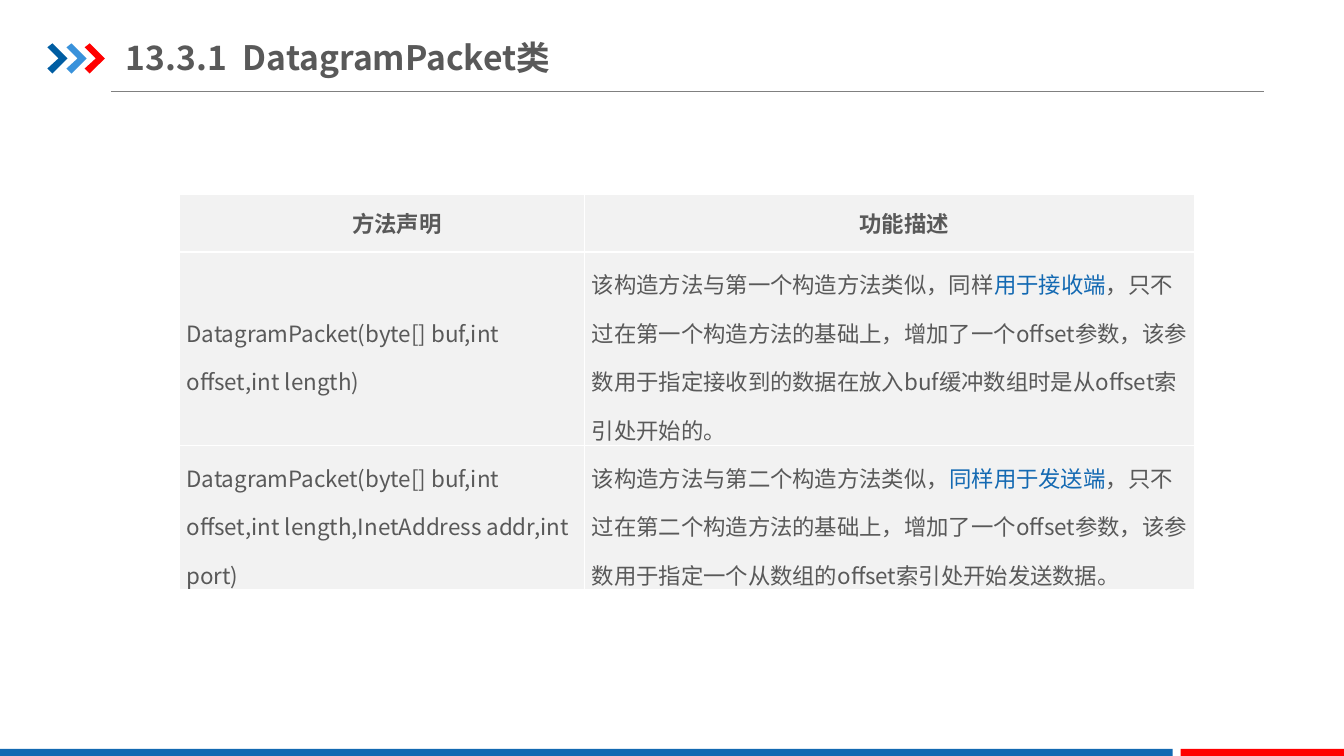
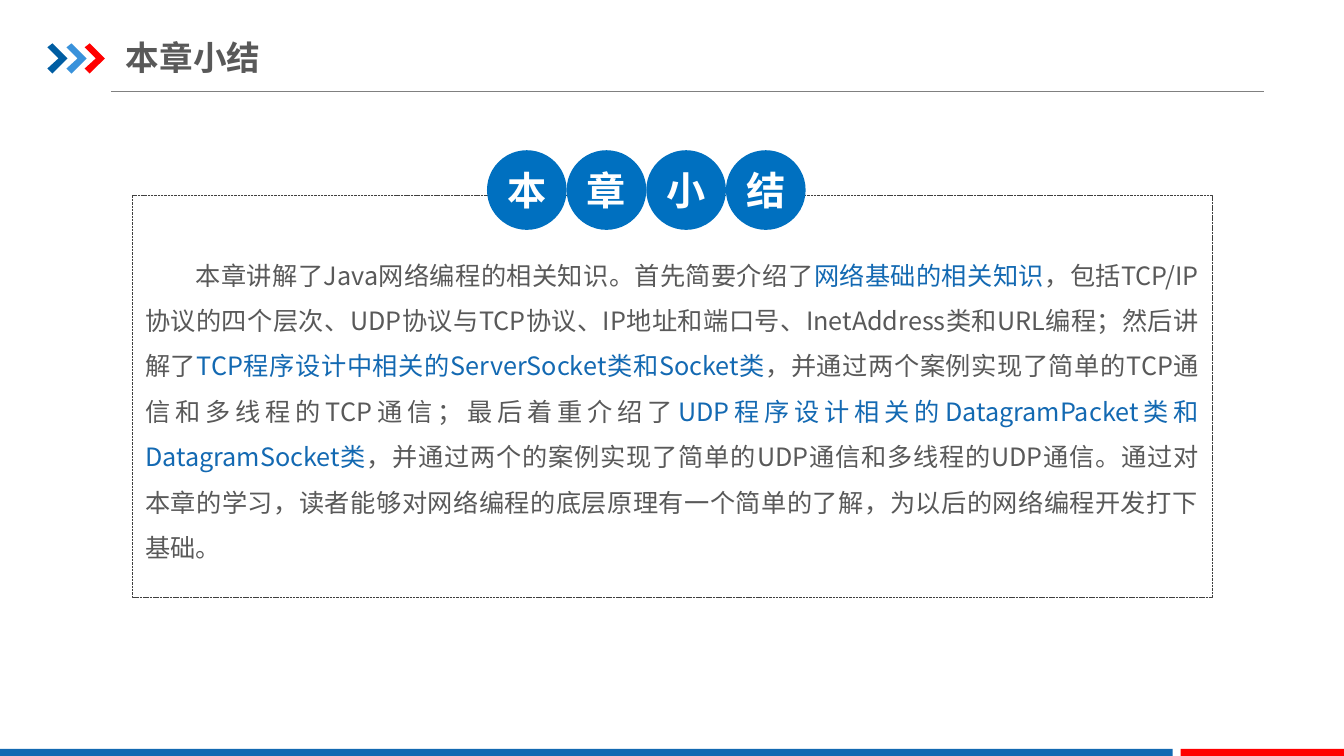
from dataclasses import dataclass

from lxml.etree import SubElement
from pptx import Presentation
from pptx.dml.color import RGBColor
from pptx.enum.dml import MSO_LINE
from pptx.enum.shapes import MSO_CONNECTOR, MSO_SHAPE
from pptx.enum.text import MSO_ANCHOR, MSO_AUTO_SIZE, PP_ALIGN
from pptx.oxml.ns import qn
from pptx.oxml.xmlchemy import OxmlElement
from pptx.util import Inches, Pt

FONT = "Noto Sans CJK SC"
GREY, BLUE, RED, WHITE = "595959", "1369B2", "FF0000", "FFFFFF"
CIRCLE_BLUE, CELL_GREY = "0070C0", "F2F2F2"
CHEVRON_OUTLINE = [(0, 0.04), (0.05, 0), (0.2, 0.15), (0.05, 0.3), (0, 0.25), (0.11, 0.15)]


@dataclass(frozen=True)
class Span:
    text: str
    color: str = GREY


@dataclass(frozen=True)
class TextStyle:
    size: float
    bold: bool = False
    align: PP_ALIGN = PP_ALIGN.LEFT
    spacing: float = 1.0
    indent: float = 0
    tab: float = 0


@dataclass(frozen=True)
class Band:
    left: float
    width: float
    color: str


@dataclass(frozen=True)
class Chevron:
    left: float
    color: str


@dataclass(frozen=True)
class Method:
    declaration: str
    description: list[Span]


TITLE = TextStyle(24, bold=True, tab=1.16)
HEADER = TextStyle(16, bold=True, align=PP_ALIGN.CENTER, indent=0.29)
CELL = TextStyle(16, spacing=1.5)
SUMMARY = TextStyle(18, align=PP_ALIGN.JUSTIFY, spacing=1.5, indent=0.5)
CIRCLE = TextStyle(28, bold=True, align=PP_ALIGN.CENTER)

CHEVRONS = [Chevron(0.47, "005DA2"), Chevron(0.66, "3992DB"), Chevron(0.84, RED)]
BANDS = [Band(0, 11.63, BLUE), Band(11.71, 1.63, RED)]

METHODS = [
    Method("DatagramPacket(byte[] buf,int offset,int length)", [
        Span("该构造方法与第一个构造方法类似，同样"),
        Span("用于接收端", BLUE),
        Span("，只不过在第一个构造方法的基础上，增加了一个offset参数，该参数用于指定接收到的数据在放入buf缓冲数组时是从offset索引处开始的。"),
    ]),
    Method("DatagramPacket(byte[] buf,int offset,int length,InetAddress addr,int port)", [
        Span("该构造方法与第二个构造方法类似，"),
        Span("同样用于发送端", BLUE),
        Span("，只不过在第二个构造方法的基础上，增加了一个offset参数，该参数用于指定一个从数组的offset索引处开始发送数据。"),
    ]),
]

CHAPTER_SUMMARY = [
    Span("本章讲解了Java网络编程的相关知识。首先简要介绍了"),
    Span("网络基础的相关知识", BLUE),
    Span("，包括TCP/IP协议的四个层次、UDP协议与TCP协议、IP地址和端口号、InetAddress类和URL编程；然后讲解了"),
    Span("TCP程序设计中相关的ServerSocket类和Socket类", BLUE),
    Span("，并通过两个案例实现了简单的TCP通信和多线程的TCP通信；最后着重介绍了"),
    Span("UDP程序设计相关的DatagramPacket类和DatagramSocket类", BLUE),
    Span("，并通过两个的案例实现了简单的UDP通信和多线程的UDP通信。通过对本章的学习，读者能够对网络编程的底层原理有一个简单的了解，为以后的网络编程开发打下基础。"),
]


def rgb(color: str) -> RGBColor:
    return RGBColor.from_string(color)


def apply(target, values: dict) -> None:
    for attribute, value in values.items():
        setattr(target, attribute, value)


def paint(shape, color: str) -> None:
    shape.fill.solid()
    shape.fill.fore_color.rgb = rgb(color)
    shape.line.fill.background()
    shape.shadow.inherit = False


def set_margins(target, side: float, vertical: float) -> None:
    apply(target, {
        "margin_left": Inches(side), "margin_right": Inches(side),
        "margin_top": Inches(vertical), "margin_bottom": Inches(vertical),
    })


def write(frame, spans: list[Span], style: TextStyle) -> None:
    paragraph = frame.paragraphs[0]
    apply(paragraph, {"alignment": style.align, "line_spacing": style.spacing})
    properties = paragraph._p.get_or_add_pPr()
    if style.indent:
        properties.set("indent", str(Inches(style.indent)))
    if style.tab:
        stops = SubElement(properties, qn("a:tabLst"))
        SubElement(stops, qn("a:tab"), pos=str(Inches(style.tab)), algn="l")
    for span in spans:
        run = paragraph.add_run()
        run.text = span.text
        apply(run.font, {"size": Pt(style.size), "bold": style.bold, "name": FONT})
        run.font.color.rgb = rgb(span.color)
        SubElement(run.font._element, qn("a:ea"), typeface=FONT)


def add_text(slide, left: float, top: float, width: float, height: float,
             spans: list[Span], style: TextStyle, side: float, **frame_values) -> None:
    frame = slide.shapes.add_textbox(
        Inches(left), Inches(top), Inches(width), Inches(height)).text_frame
    set_margins(frame, side, 0.07)
    apply(frame, {"word_wrap": True, **frame_values})
    write(frame, spans, style)


def add_chevrons(slide) -> None:
    group = slide.shapes.add_group_shape()
    for chevron in CHEVRONS:
        points = [(Inches(chevron.left + x), Inches(0.43 + y)) for x, y in CHEVRON_OUTLINE]
        outline = group.shapes.build_freeform(*points[0])
        outline.add_line_segments(points[1:], close=True)
        paint(outline.convert_to_shape(), chevron.color)


def add_page(deck, title: str):
    slide = deck.slides.add_slide(deck.slide_layouts[6])
    rule = slide.shapes.add_connector(
        MSO_CONNECTOR.STRAIGHT, Inches(1.1), Inches(0.91), Inches(12.54), Inches(0.91))
    rule.line.color.rgb = rgb("808080")
    rule.line.width = Pt(0.75)
    SubElement(rule._element.spPr, qn("a:effectLst"))
    add_chevrons(slide)
    for band in BANDS:
        paint(slide.shapes.add_shape(
            MSO_SHAPE.RECTANGLE, Inches(band.left), Inches(7.43),
            Inches(band.width), Inches(0.09)), band.color)
    add_text(slide, 1.25, 0.29, 6.2, 0.55, [Span(title)], TITLE, side=0,
             vertical_anchor=MSO_ANCHOR.MIDDLE)
    return slide


def border_cell(cell) -> None:
    properties = cell._tc.get_or_add_tcPr()
    for position, edge in enumerate(("a:lnL", "a:lnR", "a:lnT", "a:lnB")):
        line = OxmlElement(edge)
        line.set("w", str(Pt(1)))
        fill = SubElement(line, qn("a:solidFill"))
        SubElement(fill, qn("a:srgbClr"), val=WHITE)
        properties.insert(position, line)


def fill_cell(cell, spans: list[Span], style: TextStyle, anchor: MSO_ANCHOR) -> None:
    cell.fill.solid()
    cell.fill.fore_color.rgb = rgb(CELL_GREY)
    set_margins(cell, 0.07, 0)
    cell.vertical_anchor = anchor
    border_cell(cell)
    write(cell.text_frame, spans, style)


def add_method_table(slide) -> None:
    widths, heights = (4.02, 6.05), (0.57, 1.92, 1.43)
    table = slide.shapes.add_table(
        len(heights), len(widths), Inches(1.78), Inches(1.93),
        Inches(sum(widths)), Inches(sum(heights))).table
    for column, width in zip(table.columns, widths):
        column.width = Inches(width)
    for row, height in zip(table.rows, heights):
        row.height = Inches(height)
    for index, heading in enumerate(("方法声明", "功能描述")):
        fill_cell(table.cell(0, index), [Span(heading)], HEADER, MSO_ANCHOR.MIDDLE)
    for index, method in enumerate(METHODS, start=1):
        fill_cell(table.cell(index, 0), [Span(method.declaration)], CELL, MSO_ANCHOR.MIDDLE)
        fill_cell(table.cell(index, 1), method.description, CELL, MSO_ANCHOR.TOP)


def add_summary(slide) -> None:
    add_text(slide, 1.31, 2.36, 10.71, 3.31, CHAPTER_SUMMARY, SUMMARY, side=0.13,
             auto_size=MSO_AUTO_SIZE.SHAPE_TO_FIT_TEXT)
    border = slide.shapes.add_shape(
        MSO_SHAPE.ROUNDED_RECTANGLE, Inches(1.31), Inches(1.94), Inches(10.71), Inches(3.98))
    border.adjustments[0] = 0
    border.fill.background()
    border.shadow.inherit = False
    border.line.color.rgb = rgb("404040")
    apply(border.line, {"width": Pt(0.25), "dash_style": MSO_LINE.SQUARE_DOT})
    diameter = 0.79
    for index, character in enumerate("本章小结"):
        circle = slide.shapes.add_shape(
            MSO_SHAPE.OVAL, Inches(4.83 + index * diameter), Inches(1.49),
            Inches(diameter), Inches(diameter))
        paint(circle, CIRCLE_BLUE)
        set_margins(circle.text_frame, 0, 0)
        circle.text_frame.vertical_anchor = MSO_ANCHOR.MIDDLE
        write(circle.text_frame, [Span(character, WHITE)], CIRCLE)


def main() -> None:
    deck = Presentation()
    apply(deck, {"slide_width": Inches(13.33), "slide_height": Inches(7.5)})
    add_method_table(add_page(deck, "13.3.1\tDatagramPacket类"))
    add_summary(add_page(deck, "本章小结"))
    deck.save("out.pptx")


if __name__ == "__main__":
    main()
